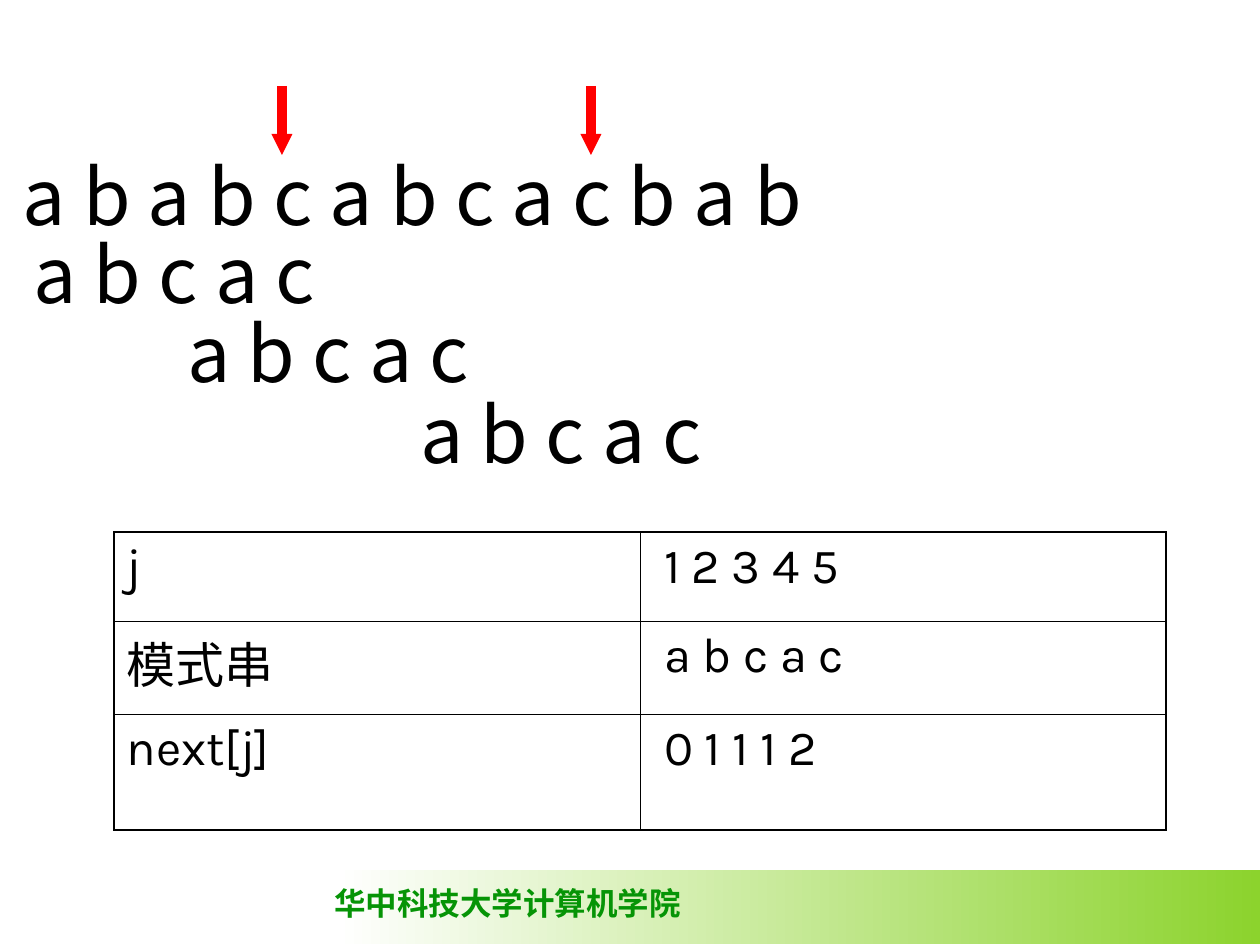
from lxml import etree
from pptx import Presentation
from pptx import util as u
from pptx.dml.color import RGBColor
from pptx.enum import shapes, text
from pptx.oxml.ns import qn

PX = 914400 // 126
CJK_FONT = "Noto Sans CJK SC"
PATTERN = "a b c a c"


def px(length):
    return u.Emu(length * PX)


def colour(hex_code):
    return RGBColor.from_string(hex_code)


def style(para, size, name, hex_code="000000", bold=False):
    """Format a paragraph, with the CJK font for its Chinese characters."""
    font = para.font
    font.size, font.name, font.bold = u.Pt(size), name, bold
    font.color.rgb = colour(hex_code)
    east_asian = etree.SubElement(font._element, qn("a:ea"))
    east_asian.set("typeface", CJK_FONT)


def add_text(page, words, left, top, width, height):
    box = page.shapes.add_textbox(px(left), px(top), px(width), px(height))
    frame = box.text_frame
    frame.text = words
    return frame


def add_letters(page, words, left, top, width):
    frame = add_text(page, words, left, top, width, 106)
    frame.word_wrap = True
    frame.vertical_anchor = text.MSO_ANCHOR.MIDDLE
    frame.margin_top = 0
    style(frame.paragraphs[0], 44, CJK_FONT)


def add_footer(page):
    bar = page.shapes.add_shape(
        shapes.MSO_SHAPE.RECTANGLE, px(336), px(870), px(924), px(74))
    bar.shadow.inherit = False
    bar.line.fill.background()
    bar.fill.gradient()
    bar.fill.gradient_angle = 180
    for stop, (position, hex_code) in zip(
            bar.fill.gradient_stops, [(0, "8CD32D"), (1, "FFFFFF")]):
        stop.position = position
        stop.color.rgb = colour(hex_code)
    frame = add_text(page, "华中科技大学计算机学院", 322, 878, 372, 50)
    frame.word_wrap = False
    style(frame.paragraphs[0], 18, "Times New Roman", "069406", bold=True)


def add_arrow(page, x):
    arrow = page.shapes.add_connector(
        shapes.MSO_CONNECTOR.STRAIGHT, px(x), px(86), px(x), px(155))
    arrow.line.width = u.Pt(6)
    arrow.line.color.rgb = colour("FF0000")
    head = etree.SubElement(arrow.line._get_or_add_ln(), qn("a:tailEnd"))
    for key, value in (("type", "triangle"), ("w", "sm"), ("len", "sm")):
        head.set(key, value)
    etree.SubElement(arrow._element.spPr, qn("a:effectLst"))


def set_borders(cell, outer_sides):
    """Draw black borders, thicker on the sides at the table's edge."""
    properties = cell._tc.get_or_add_tcPr()
    for index, side in enumerate("LRTB"):
        width = u.Pt(1.08 if side in outer_sides else 0.45)
        line = etree.Element(qn(f"a:ln{side}"), w=str(int(width)))
        fill = etree.SubElement(line, qn("a:solidFill"))
        etree.SubElement(fill, qn("a:srgbClr"), val="000000")
        properties.insert(index, line)


def add_next_table(page, rows, heights):
    table = page.shapes.add_table(
        len(rows), 2, px(114), px(532), px(1052), px(sum(heights))).table
    table.first_row = table.horz_banding = False
    for r, (values, height) in enumerate(zip(rows, heights)):
        table.rows[r].height = px(height)
        for c, value in enumerate(values):
            cell = table.cell(r, c)
            cell.text = value
            cell.fill.background()
            style(cell.text_frame.paragraphs[0], 28, "Karla")
            vertical = {0: "T", len(rows) - 1: "B"}.get(r, "")
            set_borders(cell, "LR"[c] + vertical)


def main():
    deck = Presentation()
    deck.slide_width, deck.slide_height = u.Inches(10), u.Inches(7.5)
    page = deck.slides.add_slide(deck.slide_layouts[6])
    add_footer(page)
    add_next_table(
        page,
        [("j", " 1 2 3 4 5"), ("模式串", " " + PATTERN),
         ("next[j]", " 0 1 1 1 2")],
        [89, 93, 116])
    add_letters(page, "a b a b c a b c a c b a b", 10, 145, 1184)
    for left, top in ((21, 223), (175, 302), (408, 383)):
        add_letters(page, PATTERN, left, top, 442)
    for x in (282, 591):
        add_arrow(page, x)
    deck.save("out.pptx")


if __name__ == "__main__":
    main()
